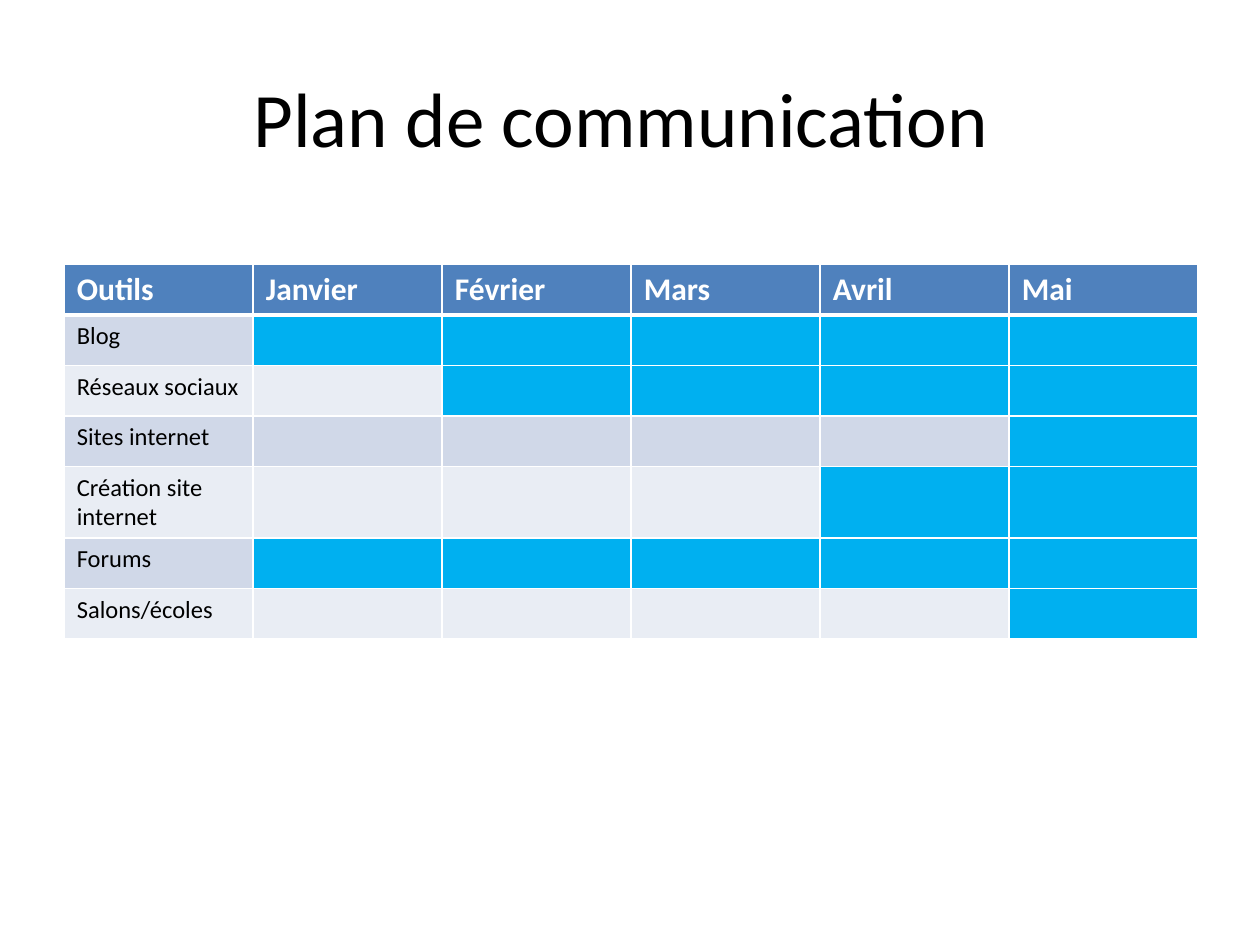
import pptx
import pptx.dml.color
import pptx.enum.text
import pptx.oxml
import pptx.oxml.ns
import pptx.util

Inches = pptx.util.Inches
RGBColor = pptx.dml.color.RGBColor
PP_ALIGN = pptx.enum.text.PP_ALIGN
MSO_ANCHOR = pptx.enum.text.MSO_ANCHOR

BLACK = RGBColor(0x00, 0x00, 0x00)
WHITE = RGBColor(0xFF, 0xFF, 0xFF)
HEADER_BLUE = RGBColor(0x4F, 0x81, 0xBD)
ACTIVE_BLUE = RGBColor(0x00, 0xB0, 0xF0)
BANDS = (RGBColor(0xD0, 0xD8, 0xE8), RGBColor(0xE9, 0xED, 0xF4))

MONTHS = ["Janvier", "Février", "Mars", "Avril", "Mai"]
# Each tool runs from its first month to the end of the period.
TOOL_STARTS = [
    ("Blog", "Janvier"),
    ("Réseaux sociaux", "Février"),
    ("Sites internet", "Mai"),
    ("Création site internet", "Avril"),
    ("Forums", "Janvier"),
    ("Salons/écoles", "Mai"),
]
COLUMN_WIDTH = 1.5
ROW_HEIGHT = 0.4
TWO_LINE_HEIGHT = 0.57


def write_text(frame, text, size=18, color=BLACK, bold=False,
               align=PP_ALIGN.LEFT, font="Calibri"):
    """Put one formatted paragraph into a text frame."""
    paragraph = frame.paragraphs[0]
    paragraph.alignment = align
    run = paragraph.add_run()
    run.text = text
    run.font.name = font
    run.font.size = pptx.util.Pt(size)
    run.font.bold = bold
    run.font.color.rgb = color


def set_borders(cell, bottom=1):
    """Draw white cell borders, with a chosen bottom width in points."""
    properties = cell._tc.get_or_add_tcPr()
    widths = {"lnL": 1, "lnR": 1, "lnT": 1, "lnB": bottom}
    for position, (side, width) in enumerate(widths.items()):
        properties.insert(position, pptx.oxml.parse_xml(
            f'<a:{side} {pptx.oxml.ns.nsdecls("a")} w="{pptx.util.Pt(width)}">'
            f'<a:solidFill><a:srgbClr val="{WHITE}"/></a:solidFill></a:{side}>'))


class PlanSlide:
    """Holds the current slide and the style of its elements."""

    def __init__(self, presentation):
        """Add a blank slide."""
        self.slide = presentation.slides.add_slide(presentation.slide_layouts[6])

    def title(self, text, left, top, width, height):
        """Add the centred title."""
        frame = self.slide.shapes.add_textbox(
            Inches(left), Inches(top), Inches(width), Inches(height)).text_frame
        frame.word_wrap = True
        frame.vertical_anchor = MSO_ANCHOR.MIDDLE
        write_text(frame, text, size=44, align=PP_ALIGN.CENTER)

    def cell(self, cell, fill, text="", bottom=1, **text_format):
        """Fill and border one cell and write its text, if any."""
        cell.fill.solid()
        cell.fill.fore_color.rgb = fill
        set_borders(cell, bottom)
        if text:
            write_text(cell.text_frame, text, **text_format)

    def schedule(self, left, top):
        """Add the table of tools by month, with active months coloured."""
        headings = ["Outils", *MONTHS]
        row_count = len(TOOL_STARTS) + 1
        table = self.slide.shapes.add_table(
            row_count, len(headings), Inches(left), Inches(top),
            Inches(COLUMN_WIDTH * len(headings)),
            Inches(ROW_HEIGHT * (row_count - 1) + TWO_LINE_HEIGHT)).table
        for column in table.columns:
            column.width = Inches(COLUMN_WIDTH)
        table.rows[0].height = Inches(ROW_HEIGHT)
        for column, heading in enumerate(headings):
            self.cell(table.cell(0, column), HEADER_BLUE, heading, bottom=3,
                      color=WHITE, bold=True)
        for row, (tool, start) in enumerate(TOOL_STARTS, 1):
            wraps = tool == "Création site internet"
            table.rows[row].height = Inches(TWO_LINE_HEIGHT if wraps else ROW_HEIGHT)
            band = BANDS[(row - 1) % 2]
            self.cell(table.cell(row, 0), band, tool, size=14)
            for month in range(len(MONTHS)):
                active = month >= MONTHS.index(start)
                self.cell(table.cell(row, month + 1), ACTIVE_BLUE if active else band)


def main():
    """Build and save the communication plan."""
    presentation = pptx.Presentation()
    presentation.slide_width = Inches(10)
    presentation.slide_height = Inches(7.5)
    plan = PlanSlide(presentation)
    plan.title("Plan de communication ", 0.5, 0.3, 9, 1.25)
    plan.schedule(0.51, 2.1)
    presentation.save("out.pptx")


main()
